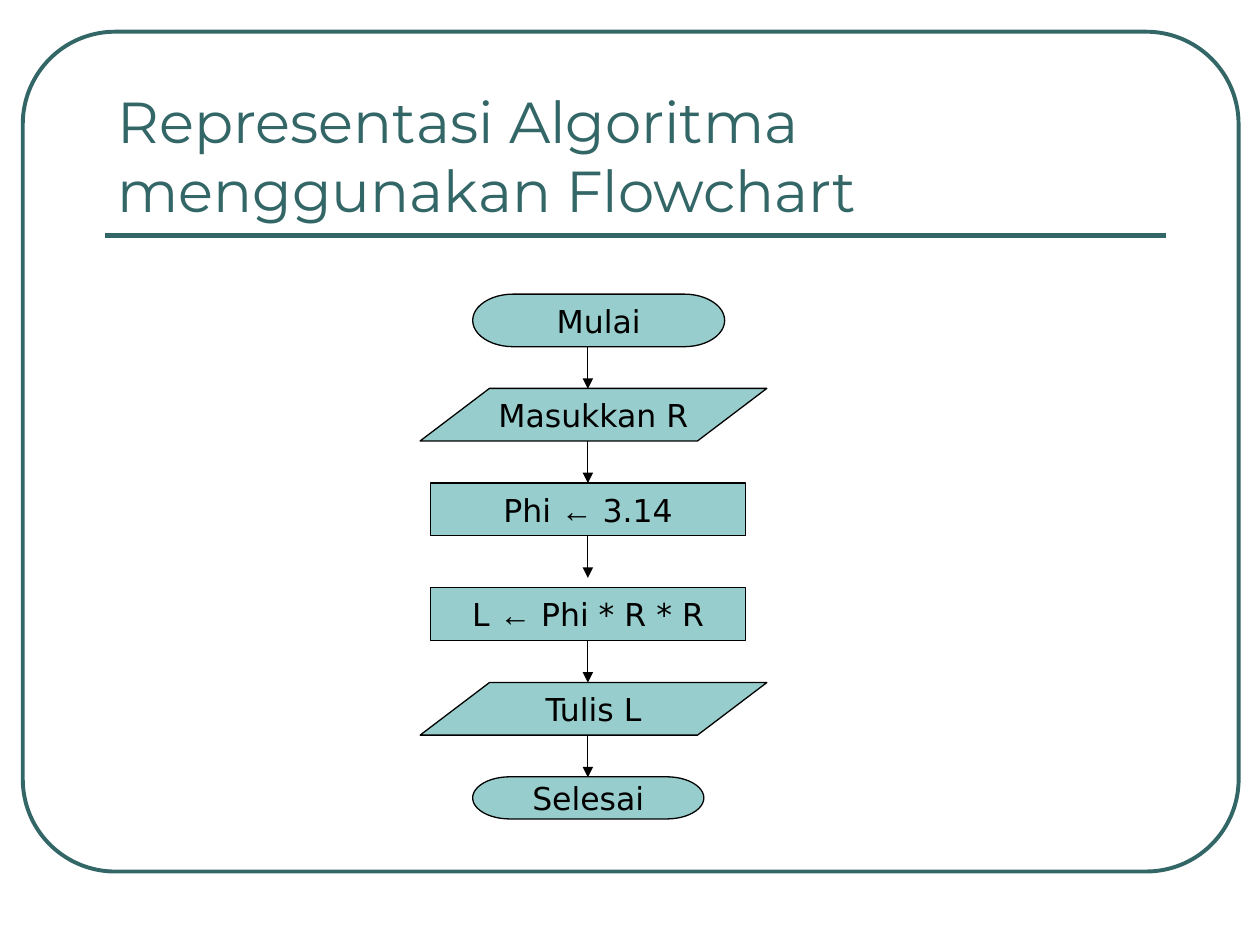
import pptx
import pptx.dml.color
import pptx.enum.shapes
import pptx.enum.text
import pptx.oxml.ns
import pptx.util
import lxml.etree
from dataclasses import dataclass
from pptx.util import Cm

SHAPE = pptx.enum.shapes.MSO_SHAPE
ANCHOR = pptx.enum.text.MSO_ANCHOR
ALIGN = pptx.enum.text.PP_ALIGN


@dataclass(frozen=True)
class Theme:
    teal: str = "336666"
    step_fill: str = "97CDCC"
    ink: str = "000000"
    title_font: str = "Montserrat"
    step_font: str = "DejaVu Sans"
    symbol_font: str = "Arial"
    title_size: float = 33
    step_size: float = 18
    frame_line: float = 2.25
    title_line: float = 3
    step_line: float = 0.75


def rgb(color):
    return pptx.dml.color.RGBColor.from_string(color)


class FlowchartSlide:
    def __init__(self, slide, theme):
        self.shapes = slide.shapes
        self.theme = theme

    def stroke(self, line, color, width):
        line.color.rgb = rgb(color)
        line.width = pptx.util.Pt(width)

    def add_run(self, paragraph, text, font, size, color):
        run = paragraph.add_run()
        run.text = text
        run.font.name = font
        run.font.size = pptx.util.Pt(size)
        run.font.color.rgb = rgb(color)

    def frame(self, left, top, width, height):
        border = self.shapes.add_shape(
            SHAPE.ROUNDED_RECTANGLE, Cm(left), Cm(top), Cm(width), Cm(height))
        border.adjustments[0] = 0.11
        border.shadow.inherit = False
        border.fill.background()
        self.stroke(border.line, self.theme.teal, self.theme.frame_line)

    def title(self, text, left, top, width, height):
        heading = self.shapes.add_textbox(Cm(left), Cm(top), Cm(width), Cm(height)).text_frame
        heading.word_wrap = True
        heading.vertical_anchor = ANCHOR.BOTTOM
        self.add_run(heading.paragraphs[0], text, self.theme.title_font,
                     self.theme.title_size, self.theme.teal)

    def line(self, start, end, color, width, arrow=False):
        connector = self.shapes.add_connector(
            pptx.enum.shapes.MSO_CONNECTOR.STRAIGHT, *map(Cm, start + end))
        self.stroke(connector.line, color, width)
        qn = pptx.oxml.ns.qn
        properties = connector._element.find(qn("p:spPr"))
        if arrow:
            lxml.etree.SubElement(properties.find(qn("a:ln")), qn("a:tailEnd"), type="triangle")
        lxml.etree.SubElement(properties, qn("a:effectLst"))

    def step(self, kind, parts, left, top, width, height):
        """Draw one flowchart symbol; the assignment arrow uses the symbol font."""
        theme = self.theme
        symbol = self.shapes.add_shape(kind, Cm(left), Cm(top), Cm(width), Cm(height))
        symbol.shadow.inherit = False
        symbol.fill.solid()
        symbol.fill.fore_color.rgb = rgb(theme.step_fill)
        self.stroke(symbol.line, theme.ink, theme.step_line)
        label = symbol.text_frame
        label.word_wrap = False
        label.vertical_anchor = ANCHOR.MIDDLE
        label.paragraphs[0].alignment = ALIGN.CENTER
        for part in parts:
            font = theme.symbol_font if part == "←" else theme.step_font
            self.add_run(label.paragraphs[0], part, font, theme.step_size, theme.ink)


def main():
    deck = pptx.Presentation()
    deck.slide_width, deck.slide_height = Cm(25.4), Cm(19.05)
    theme = Theme()
    page = FlowchartSlide(deck.slides.add_slide(deck.slide_layouts[6]), theme)

    page.frame(0.46, 0.64, 24.51, 16.93)
    page.line((2.12, 4.75), (23.5, 4.75), theme.teal, theme.title_line)
    page.title("Representasi Algoritma menggunakan Flowchart", 2.12, 1.48, 21.38, 3.17)

    terminator = (SHAPE.FLOWCHART_TERMINATOR, 9.53)
    data = (SHAPE.FLOWCHART_DATA, 8.47)
    process = (SHAPE.FLOWCHART_PROCESS, 8.68)
    # symbol, label parts, top, width, height
    steps = [
        (terminator, ["Mulai"], 5.93, 5.08, 1.06),
        (data, ["Masukkan R"], 7.83, 6.99, 1.06),
        (process, ["Phi ", "←", " 3.14"], 9.74, 6.35, 1.06),
        (process, ["L ", "←", " Phi * R * R"], 11.85, 6.35, 1.06),
        (data, ["Tulis L"], 13.76, 6.99, 1.06),
        (terminator, ["Selesai"], 15.66, 4.66, 0.85),
    ]
    for (kind, left), parts, top, width, height in steps:
        page.step(kind, parts, left, top, width, height)

    flow_x, arrow_length = 11.85, 0.85
    for _, _, top, _, height in steps[:-1]:
        bottom = top + height
        page.line((flow_x, bottom), (flow_x, bottom + arrow_length),
                  theme.ink, theme.step_line, arrow=True)

    deck.save("out.pptx")


if __name__ == "__main__":
    main()
